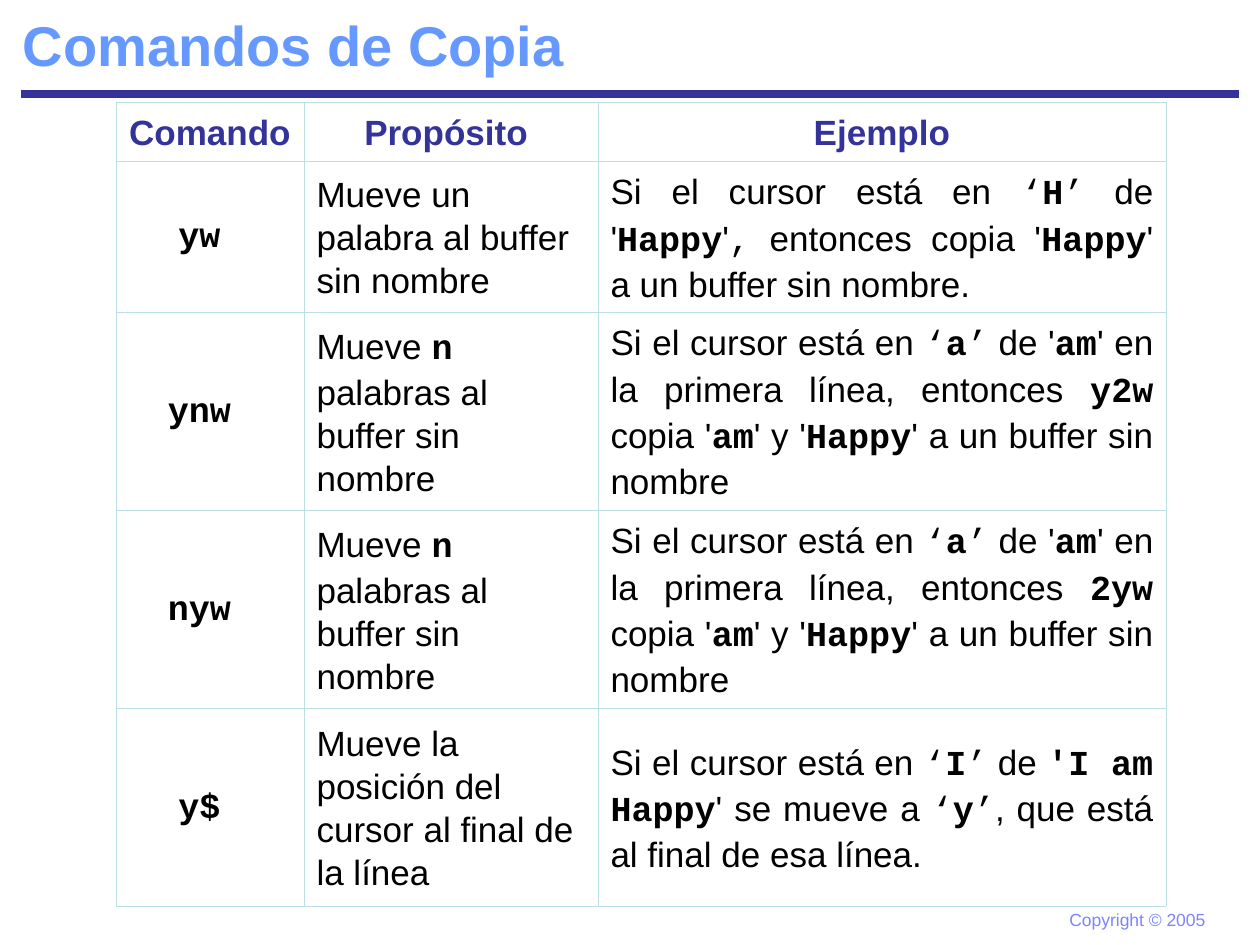
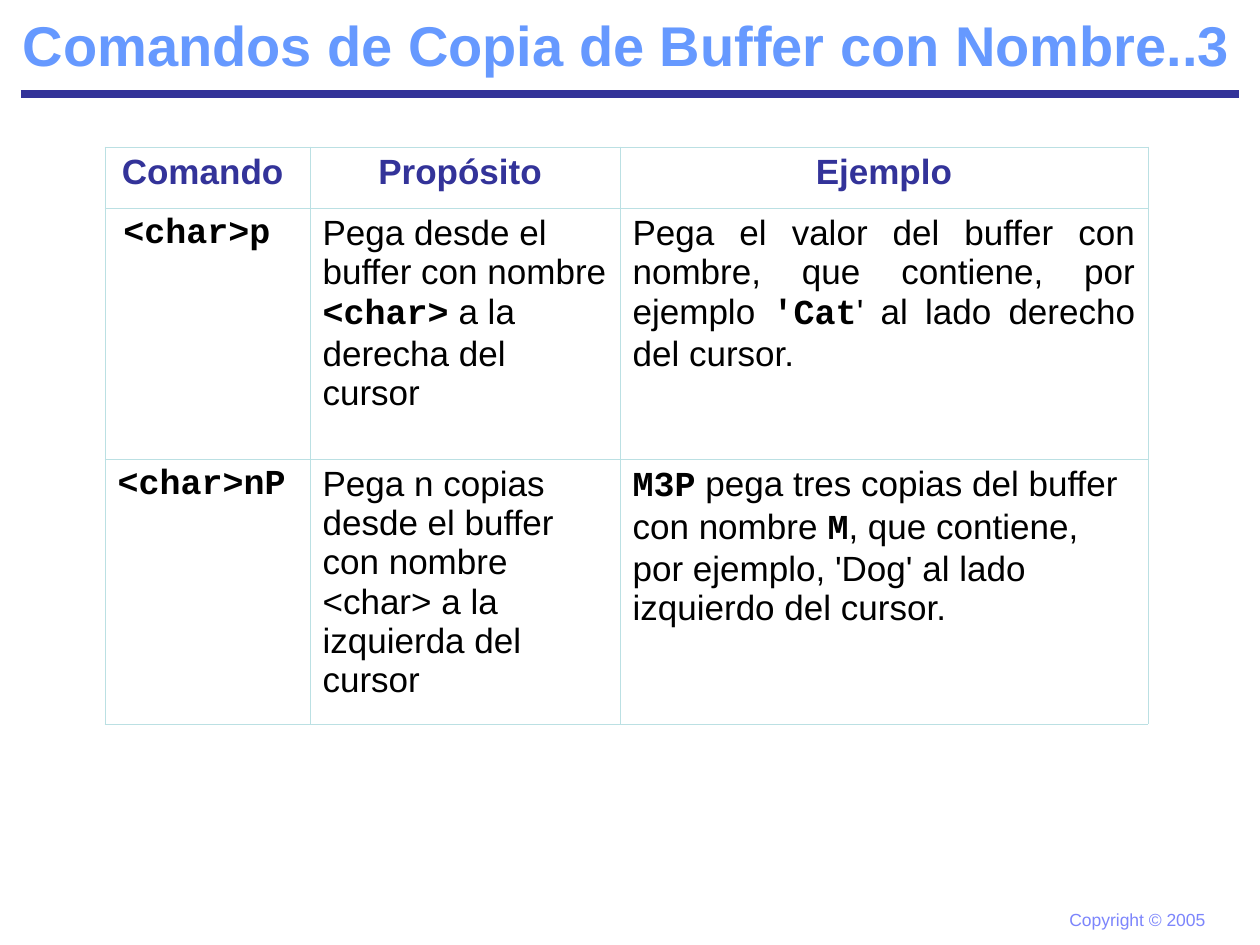
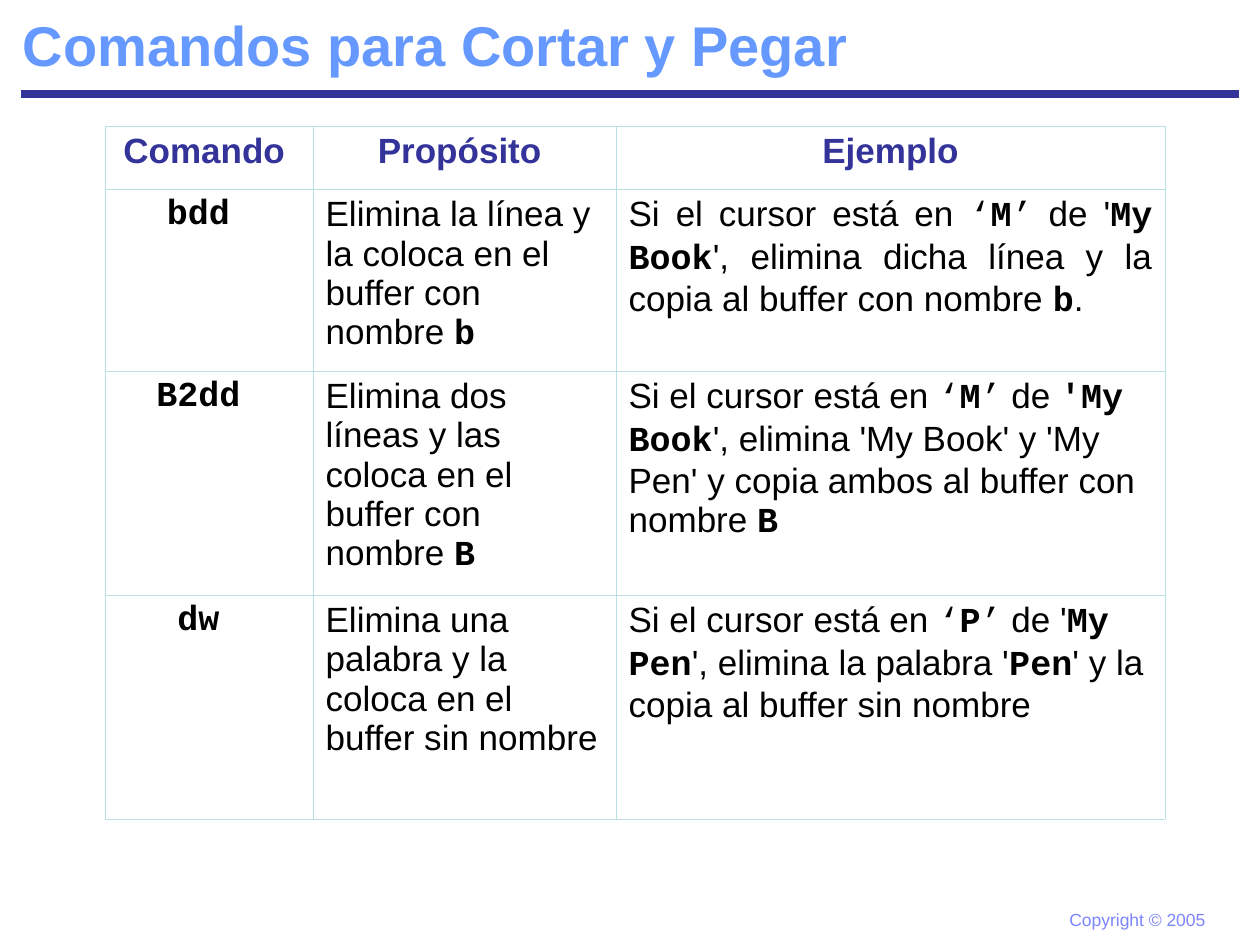
from lxml import etree
from pptx import Presentation
from pptx import util as u
from pptx.dml.color import RGBColor
from pptx.enum import shapes, text
from pptx.oxml import ns

PX = 914400 / 126
COLORS = {"title": "6699FF", "rule": "333399", "header": "333399",
          "body": "000000", "footer": "7C85FC", "border": "BBE0E3"}
SANS, MONO = "Arial", "Courier New"
ALIGN = {"c": text.PP_ALIGN.CENTER, "l": text.PP_ALIGN.LEFT,
         "j": text.PP_ALIGN.JUSTIFY}
HEADER = ("ccc", "Comando ", "Propósito ", "Ejemplo")

# Cell text: *bold code*, ~plain code~; each row starts with its alignments
SLIDES = [
    {"title": "Comandos de Copia",
     "box": (116, 102), "columns": (188, 294, 568),
     "heights": (59, 151, 198, 198, 198),
     "anchor": text.MSO_ANCHOR.MIDDLE, "spacing": 1.1,
     "rows": [
         ("clj", "*yw *", "Mueve un palabra al buffer sin nombre",
          "Si el cursor está en ~‘~*H*~’~ de '*Happy*'~,~ entonces copia "
          "'*Happy*' a un buffer sin nombre."),
         ("clj", "*ynw *", "Mueve *n* palabras al buffer sin nombre",
          "Si el cursor está en ~‘~*a*~’~ de '*am*' en la primera línea, "
          "entonces *y2w *copia '*am*' y '*Happy*' a un buffer sin nombre"),
         ("clj", "*nyw *", "Mueve *n *palabras al buffer sin nombre",
          "Si el cursor está en ~‘~*a*~’~ de '*am*' en la primera línea, "
          "entonces *2yw* copia '*am*' y '*Happy*' a un buffer sin nombre"),
         ("clj", "*y$ *", "Mueve la posición del cursor al final de la línea",
          "Si el cursor está en ~‘~*I*~’~ de *'I am Happy*' se mueve a "
          "~‘~*y*~’~, que está al final de esa línea."),
     ]},
    {"title": "Comandos de Copia de Buffer con Nombre..3",
     "box": (105, 147), "columns": (205, 310, 528),
     "heights": (61, 251, 265),
     "anchor": text.MSO_ANCHOR.TOP, "spacing": 1.0,
     "rows": [
         ("clj", "*<char>p *",
          "Pega desde el buffer con nombre *<char>* a la derecha del cursor",
          "Pega el valor del buffer con nombre, que contiene, por ejemplo "
          "*'Cat*' al lado derecho del cursor."),
         ("lll", "*<char>nP*",
          "Pega n copias desde el buffer con nombre <char> a la izquierda "
          "del cursor",
          "*M3P* pega tres copias del buffer con nombre *M*, que contiene, "
          "por ejemplo, 'Dog' al lado izquierdo del cursor."),
     ]},
    {"title": "Comandos para Cortar y Pegar",
     "box": (105, 126), "columns": (208, 303, 549),
     "heights": (63, 182, 224, 224),
     "anchor": text.MSO_ANCHOR.TOP, "spacing": 1.0,
     "rows": [
         ("clj", "*bdd *",
          "Elimina la línea y la coloca en el buffer con nombre *b*",
          "Si el cursor está en ~‘~*M*~’~ de '*My Book*', elimina dicha "
          "línea y la copia al buffer con nombre *b*."),
         ("cll", "*B2dd *",
          "Elimina dos líneas y las coloca en el buffer con nombre *B*",
          "Si el cursor está en ~‘~*M*~’~ de *'My Book*', elimina 'My Book' "
          "y 'My Pen' y copia ambos al buffer con nombre *B*"),
         ("cll", "*dw *",
          "Elimina una palabra y la coloca en el buffer sin nombre",
          "Si el cursor está en ~‘~*P*~’~ de '*My Pen*', elimina la palabra "
          "'*Pen*' y la copia al buffer sin nombre"),
     ]},
]


def px(*lengths):
    return [u.Emu(round(length * PX)) for length in lengths]


def add_span(para, words, color, **format_values):
    span = para.add_run()
    span.text = words
    for name, value in format_values.items():
        setattr(span.font, name, value)
    span.font.color.rgb = RGBColor.from_string(COLORS[color])


def add_marked_text(para, marked):
    for i, piece in enumerate(marked.split("*")):
        for j, words in enumerate(piece.split("~")):
            if words:
                bold, code = i % 2 == 1, i % 2 == 1 or j % 2 == 1
                add_span(para, words, "body", size=u.Pt(20), bold=bold,
                         name=MONO if code else SANS)


def add_title(page, words, box):
    title = page.shapes.title
    for name, value in zip(("left", "top", "width", "height"), px(*box)):
        setattr(title, name, value)
    frame = title.text_frame
    frame.auto_size = text.MSO_AUTO_SIZE.NONE
    frame.vertical_anchor = text.MSO_ANCHOR.BOTTOM
    para = frame.paragraphs[0]
    para.alignment = text.PP_ALIGN.LEFT
    add_span(para, words, "title", size=u.Pt(32), bold=True, name=SANS)


def add_rule(page, left, right, y):
    rule = page.shapes.add_connector(shapes.MSO_CONNECTOR.STRAIGHT,
                                     *px(left, y, right, y))
    rule.line.width = u.Pt(4.5)
    rule.line.color.rgb = RGBColor.from_string(COLORS["rule"])
    etree.SubElement(rule.element.spPr, ns.qn("a:effectLst"))


def add_footer(page, words, box):
    frame = page.shapes.add_textbox(*px(*box)).text_frame
    frame.word_wrap = False
    add_span(frame.paragraphs[0], words, "footer", size=u.Pt(10), name=SANS)


def add_borders(cell):
    properties = cell._tc.get_or_add_tcPr()
    for index, side in enumerate(("lnL", "lnR", "lnT", "lnB")):
        line = etree.Element(ns.qn(f"a:{side}"), w=str(u.Pt(0.45)))
        fill = etree.SubElement(line, ns.qn("a:solidFill"))
        etree.SubElement(fill, ns.qn("a:srgbClr"), val=COLORS["border"])
        properties.insert(index, line)


def add_command_table(page, content):
    rows = [HEADER] + content["rows"]
    columns, heights = content["columns"], content["heights"]
    table = page.shapes.add_table(
        len(rows), len(columns),
        *px(*content["box"], sum(columns), sum(heights))).table
    table.first_row = table.horz_banding = False
    for column, width in zip(table.columns, px(*columns)):
        column.width = width
    for row, height, (aligns, *cells) in zip(table.rows, px(*heights), rows):
        row.height = height
        for cell, align, words in zip(row.cells, aligns, cells):
            cell.fill.background()
            cell.vertical_anchor = content["anchor"]
            add_borders(cell)
            para = cell.text_frame.paragraphs[0]
            para.alignment = ALIGN[align]
            para.line_spacing = content["spacing"]
            if cells == list(HEADER[1:]):
                add_span(para, words, "header", size=u.Pt(20), bold=True,
                         name=SANS)
            else:
                add_marked_text(para, words)


def add_command_slide(deck, content):
    page = deck.slides.add_slide(deck.slide_layouts[5])
    add_rule(page, 21, 1239, 94)
    add_footer(page, "Copyright © 2005", (1057, 903, 161, 34))
    add_command_table(page, content)
    add_title(page, content["title"], (10, 0, 1250, 84))


def main():
    deck = Presentation()
    deck.slide_width, deck.slide_height = px(1260, 945)
    for content in SLIDES:
        add_command_slide(deck, content)
    deck.save("out.pptx")


if __name__ == "__main__":
    main()
